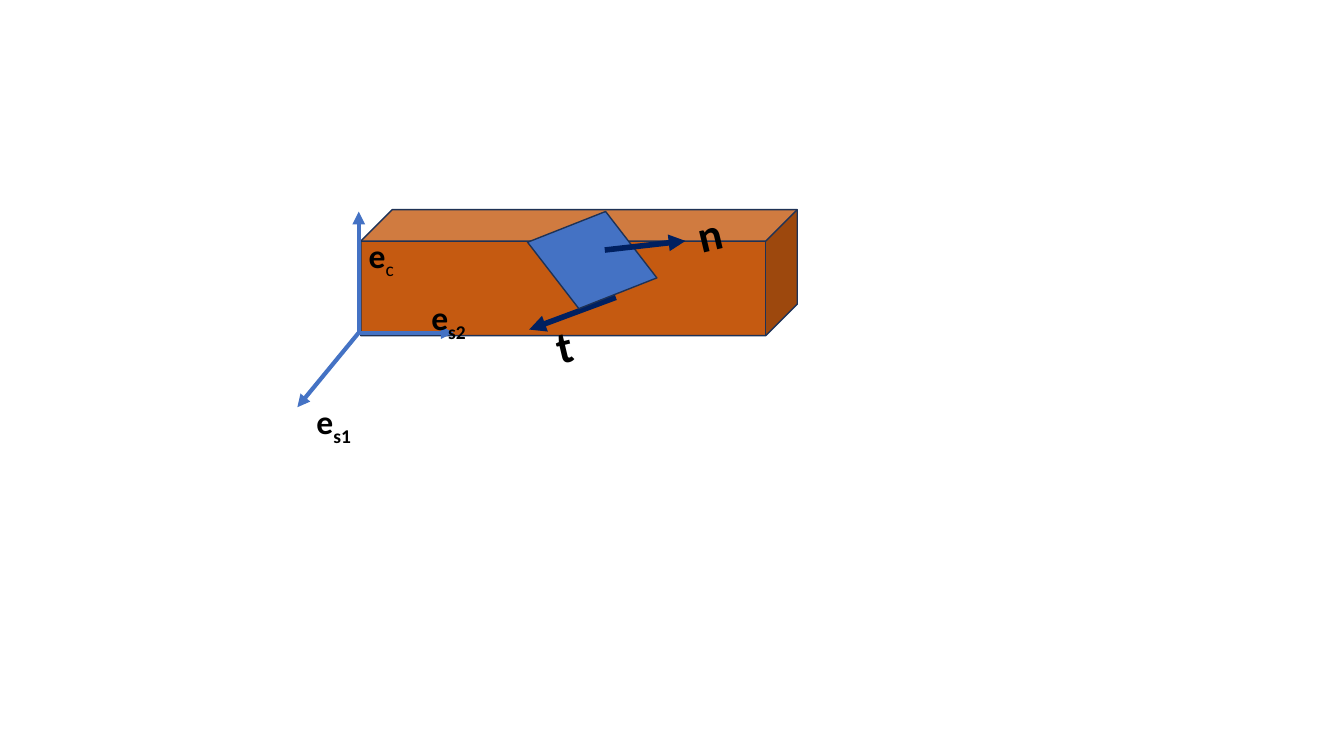
from dataclasses import dataclass

from pptx import Presentation
from pptx.dml.color import RGBColor
from pptx.enum.shapes import MSO_CONNECTOR as Connector, MSO_SHAPE as Shape
from pptx.enum.text import MSO_AUTO_SIZE as AutoSize
from pptx.oxml.ns import qn
from pptx.util import Pt
from lxml.etree import SubElement


@dataclass(frozen=True)
class Theme:
    font: str = "Calibri"
    text: str = "000000"
    beam: str = "C55A11"
    plane: str = "4472C4"
    outline: str = "1E3256"
    axis: str = "4472C4"
    vector: str = "002060"
    axis_label: int = 24
    vector_label: int = 32
    outline_width: int = 1
    axis_width: int = 3
    vector_width: int = 4


class Drawing:
    """Draws on a slide, or in the group that was started last."""

    def __init__(self, slide, theme):
        self.slide = slide
        self.theme = theme
        self.shapes = slide.shapes

    def start_group(self):
        self.shapes = self.slide.shapes.add_group_shape().shapes

    def solid(self, kind, box, color, rotation=0):
        shape = self.shapes.add_shape(kind, *map(Pt, box))
        shape.rotation = rotation
        shape.shadow.inherit = False
        shape.fill.solid()
        shape.fill.fore_color.rgb = RGBColor.from_string(color)
        shape.line.color.rgb = RGBColor.from_string(self.theme.outline)
        shape.line.width = Pt(self.theme.outline_width)

    def arrow(self, start, end, color, width):
        arrow = self.shapes.add_connector(Connector.STRAIGHT, *map(Pt, (*start, *end)))
        arrow.line.color.rgb = RGBColor.from_string(color)
        arrow.line.width = Pt(width)
        SubElement(arrow.line._get_or_add_ln(), qn("a:tailEnd"), type="triangle")
        SubElement(arrow._element.spPr, qn("a:effectLst"))

    def label(self, box, size, text, subscript="", subscript_bold=True, rotation=0, wrap=True):
        shape = self.shapes.add_textbox(*map(Pt, box))
        shape.rotation = rotation
        frame = shape.text_frame
        frame.word_wrap = wrap
        frame.auto_size = AutoSize.SHAPE_TO_FIT_TEXT
        self.run(frame.paragraphs[0], text, size)
        if subscript:
            run = self.run(frame.paragraphs[0], subscript, size, subscript_bold)
            run._r.get_or_add_rPr().set("baseline", "-25000")

    def run(self, paragraph, text, size, bold=True):
        run = paragraph.add_run()
        run.text = text
        font_format = {"name": self.theme.font, "size": Pt(size), "bold": bold}
        for name, value in font_format.items():
            setattr(run.font, name, value)
        run.font.color.rgb = RGBColor.from_string(self.theme.text)
        return run


def main():
    presentation = Presentation()
    presentation.slide_width, presentation.slide_height = Pt(960), Pt(540)
    slide = presentation.slides.add_slide(presentation.slide_layouts[6])
    theme = Theme()
    drawing = Drawing(slide, theme)

    # Beam
    drawing.solid(Shape.CUBE, (257.75, 149.75, 311.75, 90), theme.beam)

    # Coordinate axes from a common origin
    drawing.start_group()
    origin = (256.3, 237.6)
    for tip in ((256.3, 151.2), (212.4, 290.9), (324, 237.6)):
        drawing.arrow(origin, tip, theme.axis, theme.axis_width)
    for left, top, width, subscript, bold in (
        (301, 208.8, 47.5, "s2", True),
        (256.3, 164.2, 47.5, "c", False),
        (218.9, 283, 43.9, "s1", True),
    ):
        drawing.label((left, top, width, 36), theme.axis_label, "e", subscript, bold)

    # Inclined plane with its normal and tangent
    drawing.start_group()
    for box, text in (((491, 144, 31.7, 46), "n"), ((390.2, 223.9, 25.9, 46), "t")):
        drawing.label(box, theme.vector_label, text, rotation=346.6, wrap=False)
    drawing.arrow((439.9, 212.4), (378, 235.4), theme.vector, theme.vector_width)
    drawing.solid(Shape.FLOWCHART_DECISION, (375.1, 149.8, 95.8, 72), theme.plane, 15.4)
    drawing.arrow((432, 178.6), (489.6, 172.1), theme.vector, theme.vector_width)

    presentation.save("out.pptx")


if __name__ == "__main__":
    main()
